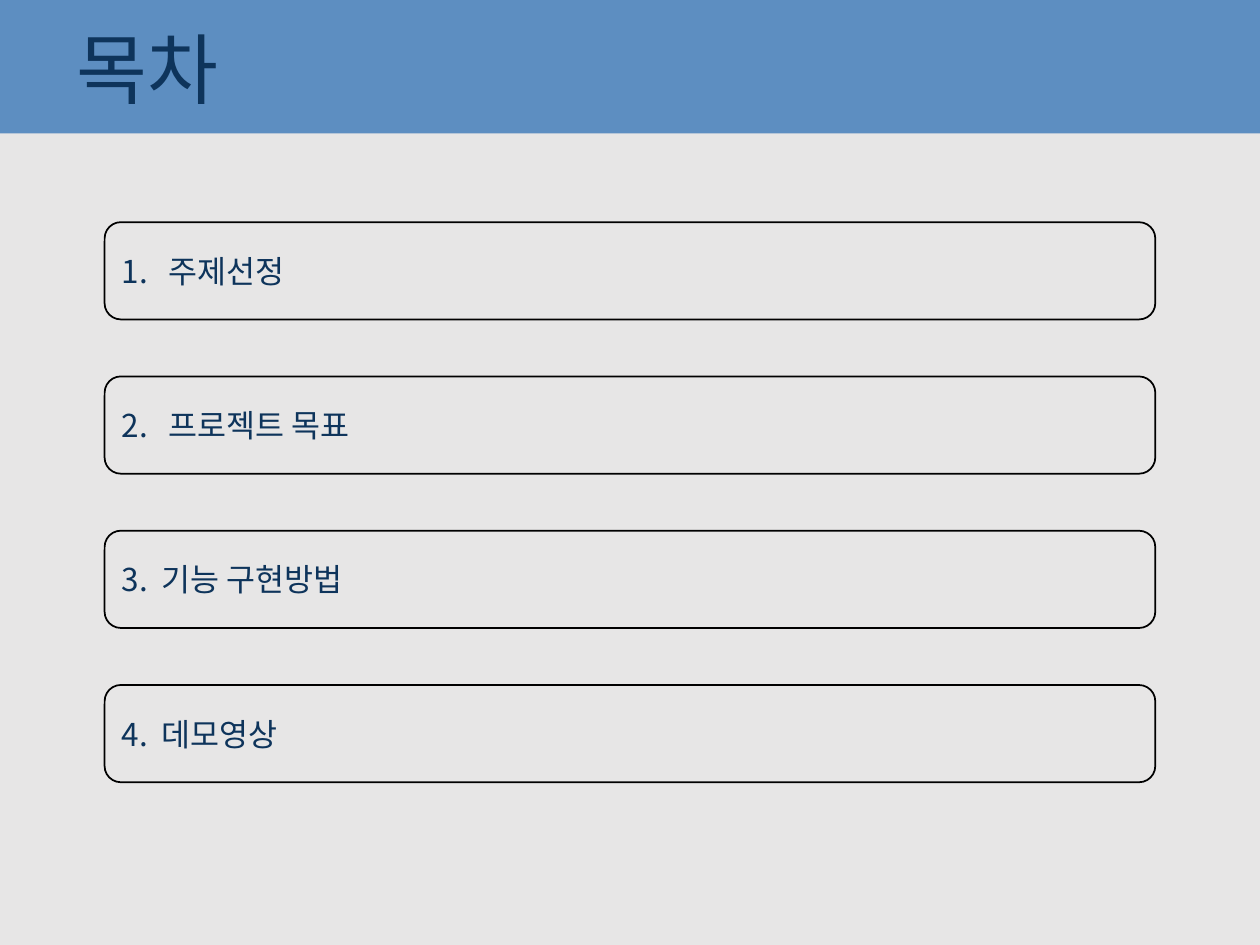
import dataclasses

import pptx
import pptx.dml.color
import pptx.enum.shapes
import pptx.enum.text
import pptx.oxml
import pptx.oxml.ns
import pptx.util

Cm = pptx.util.Cm
Pt = pptx.util.Pt
Kind = pptx.enum.shapes.MSO_SHAPE


@dataclasses.dataclass(frozen=True)
class Theme:
    back: str = "E7E6E6"
    band: str = "5D8EC1"
    ink: str = "0E345B"
    edge: str = "000000"
    head: int = 44
    body: int = 18
    latin: str = "Calibri"
    hangul: str = "Noto Sans CJK KR"


THEME = Theme()
ITEMS = [
    ("1.", "주제선정", 0.95),
    ("2.", "프로젝트 목표", 0.95),
    ("3.", "기능 구현방법", 0.81),
    ("4.", "데모영상", 0.81),
]
TOP, PITCH = 4.48, 3.11


def paint(fill, color):
    fill.solid()
    fill.fore_color.rgb = pptx.dml.color.RGBColor.from_string(color)


def add_run(para, text, size, face):
    run = para.add_run()
    run.text = text
    run.font.size = Pt(size)
    run.font.name = face
    paint(run.font.fill, THEME.ink)


def set_tab(para, stop):
    space = pptx.oxml.ns.nsdecls("a")
    tabs = pptx.oxml.parse_xml(
        f'<a:tabLst {space}><a:tab pos="{Cm(stop)}" algn="l"/></a:tabLst>'
    )
    para._p.get_or_add_pPr().append(tabs)


def set_frame(shape):
    frame = shape.text_frame
    frame.word_wrap = True
    frame.vertical_anchor = pptx.enum.text.MSO_ANCHOR.MIDDLE
    para = frame.paragraphs[0]
    para.alignment = pptx.enum.text.PP_ALIGN.LEFT
    return para


def add_band(slide, width):
    band = slide.shapes.add_shape(Kind.RECTANGLE, 0, 0, width, Cm(2.69))
    band.shadow.inherit = False
    paint(band.fill, THEME.band)
    band.line.fill.background()


def add_title(slide, text):
    box = slide.shapes.add_textbox(Cm(1.3), Cm(-0.36), Cm(24.1), Cm(3.68))
    para = set_frame(box)
    para.line_spacing = 0.9
    add_run(para, text, THEME.head, THEME.latin)


def add_item(slide, top, label, text, stop):
    box = slide.shapes.add_shape(
        Kind.ROUNDED_RECTANGLE, Cm(2.11), Cm(top), Cm(21.18), Cm(1.96)
    )
    box.shadow.inherit = False
    box.fill.background()
    paint(box.line.fill, THEME.edge)
    box.line.width = Pt(1)
    para = set_frame(box)
    set_tab(para, stop)
    add_run(para, f"{label}\t", THEME.body, THEME.hangul)
    add_run(para, text, THEME.body, THEME.hangul)


def main():
    deck = pptx.Presentation()
    deck.slide_width = Cm(25.4)
    deck.slide_height = Cm(19.05)
    slide = deck.slides.add_slide(deck.slide_layouts[6])
    paint(slide.background.fill, THEME.back)
    add_band(slide, deck.slide_width)
    add_title(slide, "목차")
    for row, item in enumerate(ITEMS):
        add_item(slide, TOP + row * PITCH, *item)
    deck.save("out.pptx")


if __name__ == "__main__":
    main()
